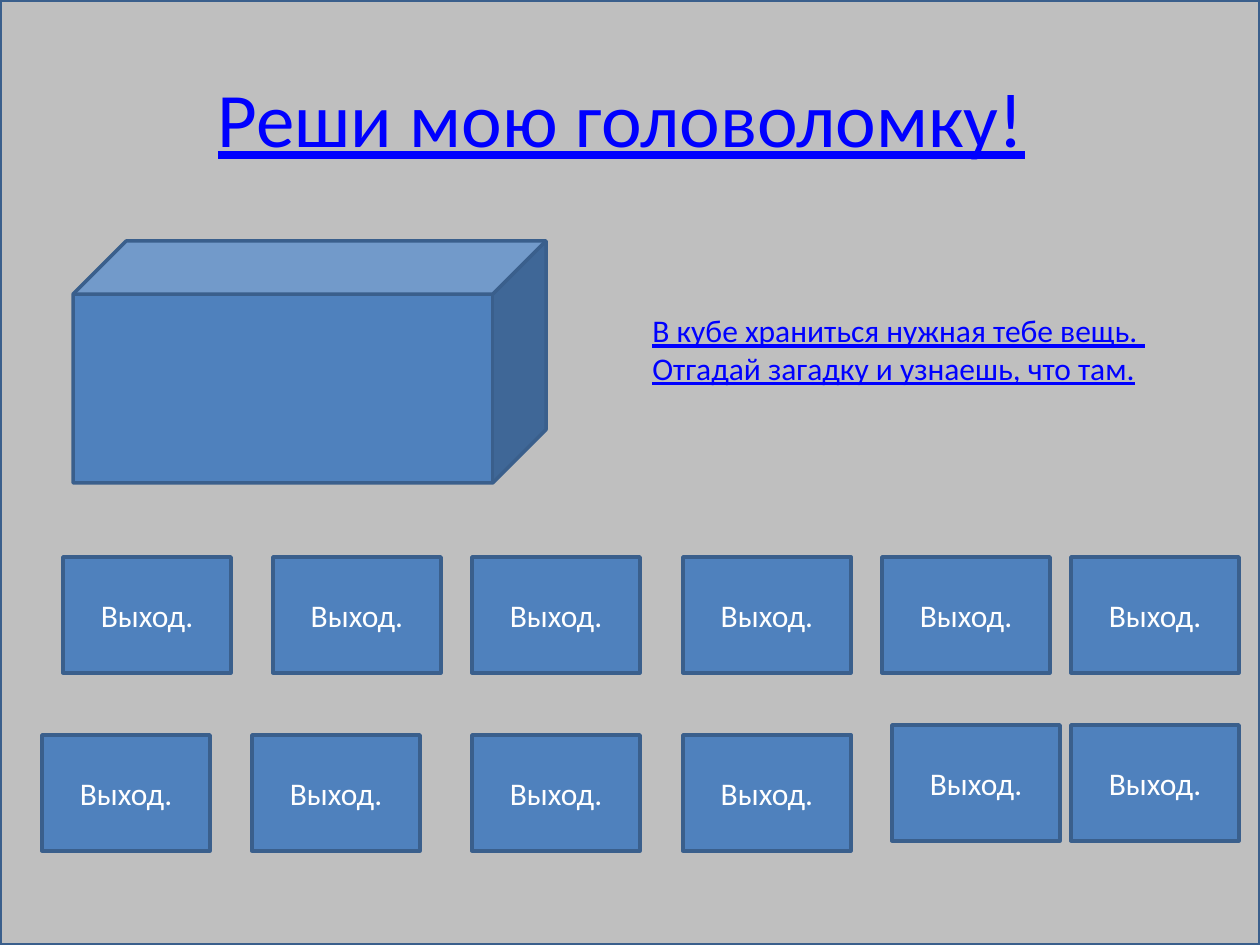
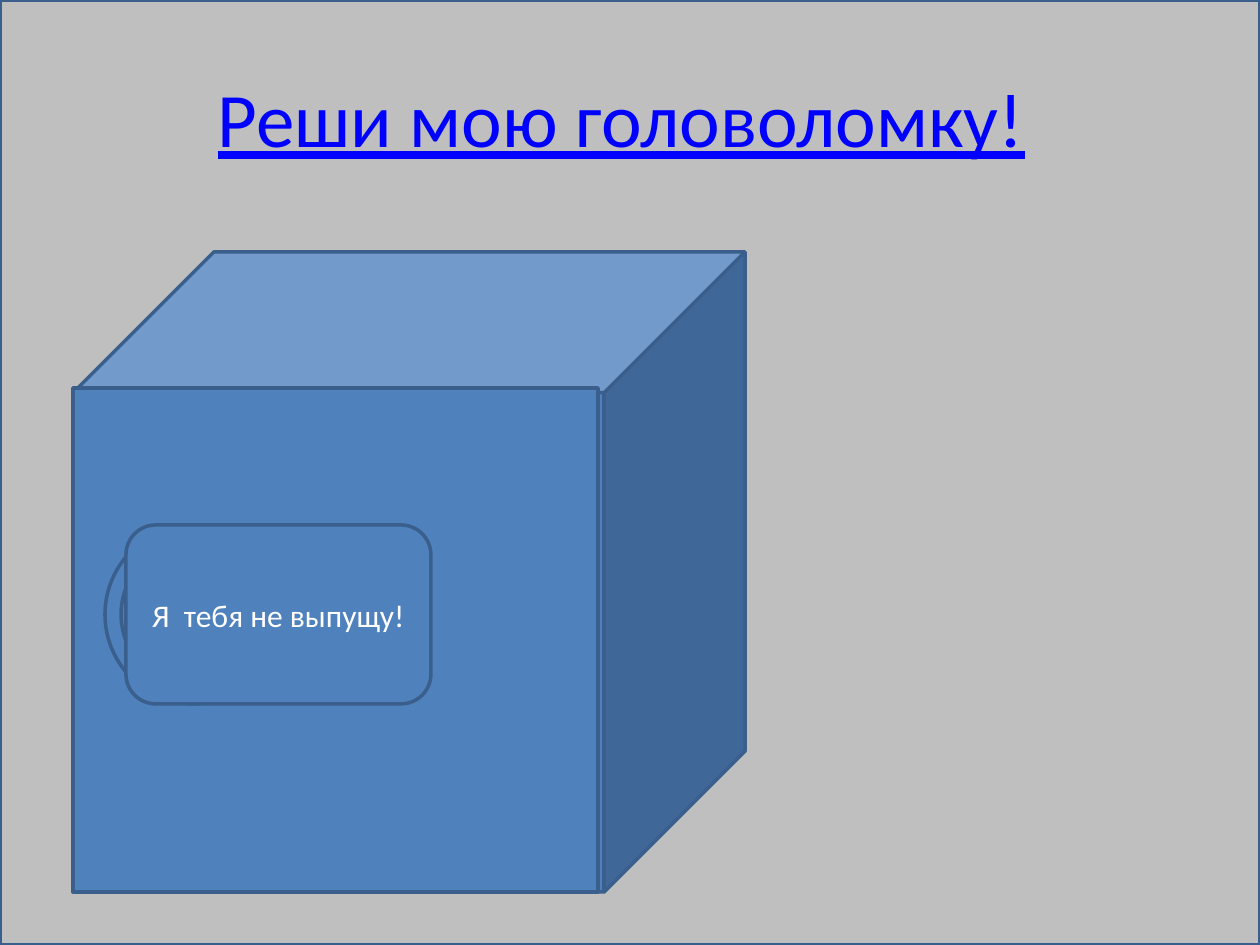
from dataclasses import dataclass
from pptx import Presentation
from pptx.dml.color import RGBColor as Rgb
from pptx.enum.shapes import MSO_SHAPE as Kind
from pptx.enum.text import MSO_ANCHOR as Anchor, PP_ALIGN as Align
from pptx.util import Emu, Pt

WIDE, HIGH = 1260, 945
SCALE = 914400 / 126  # EMU per pixel


def px(num):
    return Emu(round(num * SCALE))


@dataclass(frozen=True)
class Theme:
    back: str = "BFBFBF"
    face: str = "4F81BD"
    edge: str = "3A5F8C"
    link: str = "0000FF"
    light: str = "FFFFFF"
    font: str = "Calibri"
    head: int = 44
    body: int = 18
    line: int = 2


class Deck:
    def __init__(self, theme):
        self.theme = theme
        self.file = Presentation()
        self.file.slide_width, self.file.slide_height = px(WIDE), px(HIGH)
        self.slide = None

    def page(self, title):
        """Start a slide with the shared backdrop and title."""
        self.slide = self.file.slides.add_slide(self.file.slide_layouts[6])
        self.shape(Kind.RECTANGLE, (0, 0, WIDE, HIGH), fill=self.theme.back)
        frame = self.label((63, 38, 1134, 157), [title], self.theme.head,
                           align=Align.CENTER, anchor=Anchor.MIDDLE)
        # The plain space after the link shifts the centred title
        self.piece(frame.paragraphs[0], " ", self.theme.head, self.theme.link)

    def piece(self, para, text, size, color, under=False):
        run = para.add_run()
        run.text = text
        look = {"name": self.theme.font, "size": Pt(size), "underline": under}
        for key, val in look.items():
            setattr(run.font, key, val)
        run.font.color.rgb = Rgb.from_string(color)

    def lines(self, frame, texts, size, color, under=False,
              align=Align.LEFT, anchor=Anchor.TOP, wrap=True):
        for key, val in {"word_wrap": wrap, "vertical_anchor": anchor}.items():
            setattr(frame, key, val)
        for num, text in enumerate(texts):
            para = frame.add_paragraph() if num else frame.paragraphs[0]
            para.alignment = align
            self.piece(para, text, size, color, under)

    def label(self, box, texts, size, **look):
        """Add underlined text in the link colour."""
        frame = self.slide.shapes.add_textbox(*map(px, box)).text_frame
        self.lines(frame, texts, size, self.theme.link, under=True, **look)
        return frame

    def shape(self, kind, box, text=None, fill=None, bend=None):
        item = self.slide.shapes.add_shape(kind, *map(px, box))
        item.shadow.inherit = False
        item.fill.solid()
        item.fill.fore_color.rgb = Rgb.from_string(fill or self.theme.face)
        item.line.color.rgb = Rgb.from_string(self.theme.edge)
        item.line.width = Pt(self.theme.line)
        if bend is not None:
            item.adjustments[0] = bend
        if text:
            self.lines(item.text_frame, [text], self.theme.body,
                       self.theme.light, align=Align.CENTER,
                       anchor=Anchor.MIDDLE)


TITLE = "Реши мою головоломку!"
DEPTH = 0.22
theme = Theme()
deck = Deck(theme)

# Slide 1: closed box, hint and exit buttons
deck.page(TITLE)
deck.shape(Kind.CUBE, (73, 241, 473, 242), bend=DEPTH)
deck.label((640, 305, 524, 89),
           ["В кубе храниться нужная тебе вещь. ",
            "Отгадай загадку и узнаешь, что там."], theme.body, wrap=False)

upper = [(left, 557) for left in (63, 273, 472, 683, 882, 1071)]
lower = [(left, 735) for left in (42, 252, 472, 683)]
raised = [(left, 725) for left in (892, 1071)]
for left, top in upper + lower + raised:
    deck.shape(Kind.RECTANGLE, (left, top, 168, 116), "Выход.")

# Slide 2: large box with a door, its ring and the reply
deck.page(TITLE)
deck.shape(Kind.CUBE, (73, 252, 672, 640), bend=DEPTH)
deck.shape(Kind.RECTANGLE, (73, 388, 525, 504))
deck.shape(Kind.DONUT, (105, 525, 179, 179), bend=0.09)
deck.shape(Kind.ROUNDED_RECTANGLE, (126, 525, 305, 179),
           "Я  тебя не выпущу!")

deck.file.save("out.pptx")
